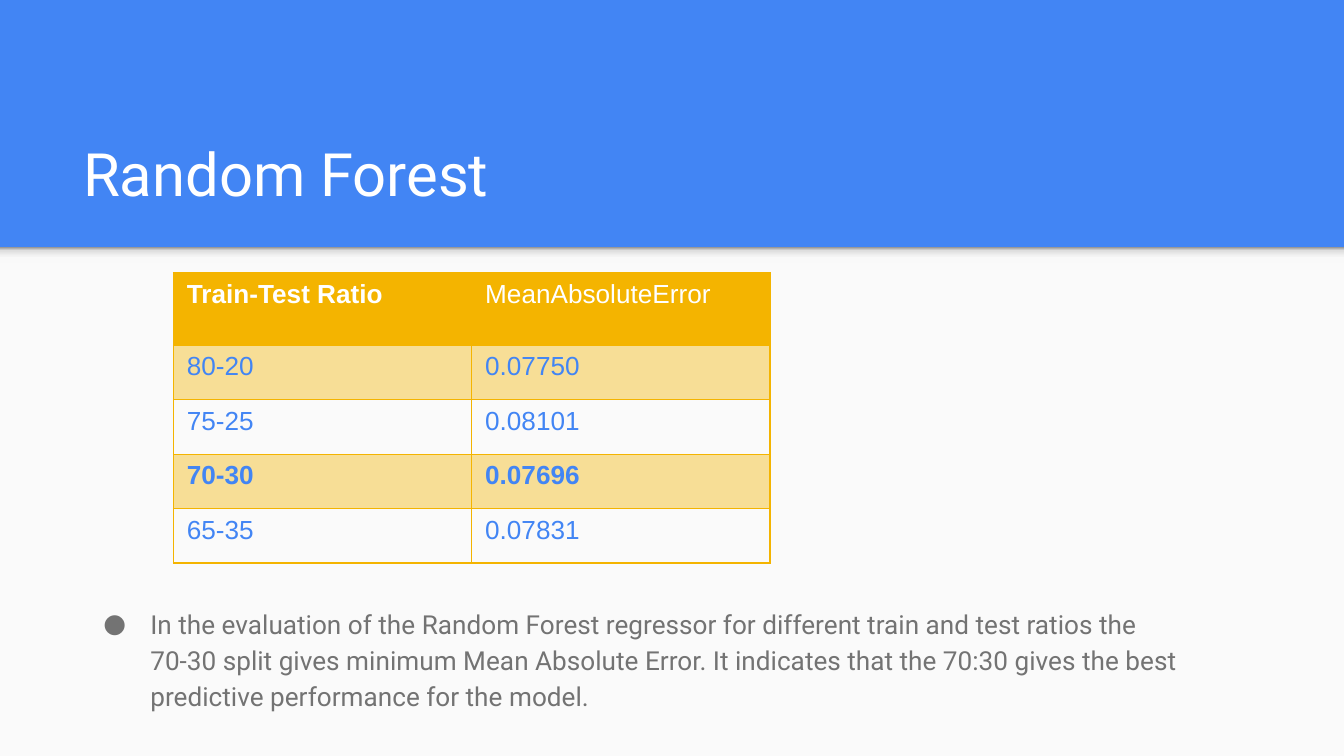
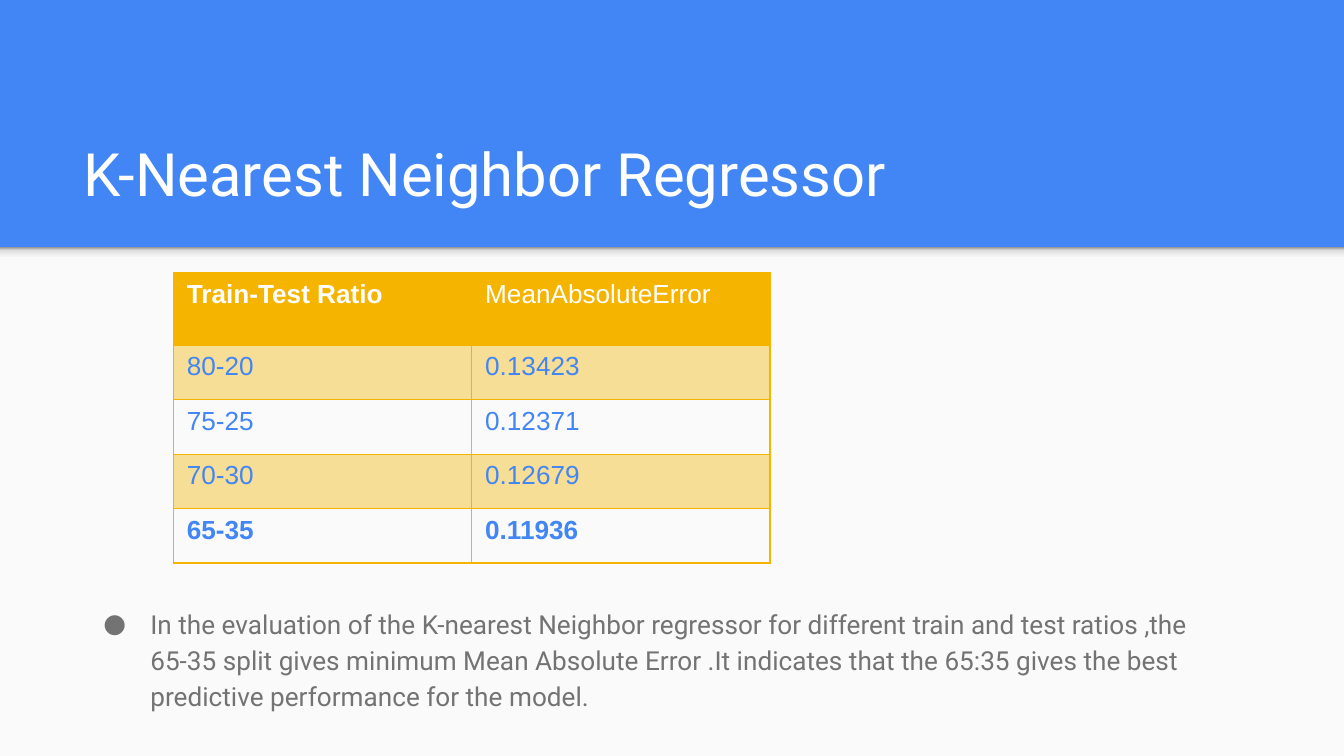
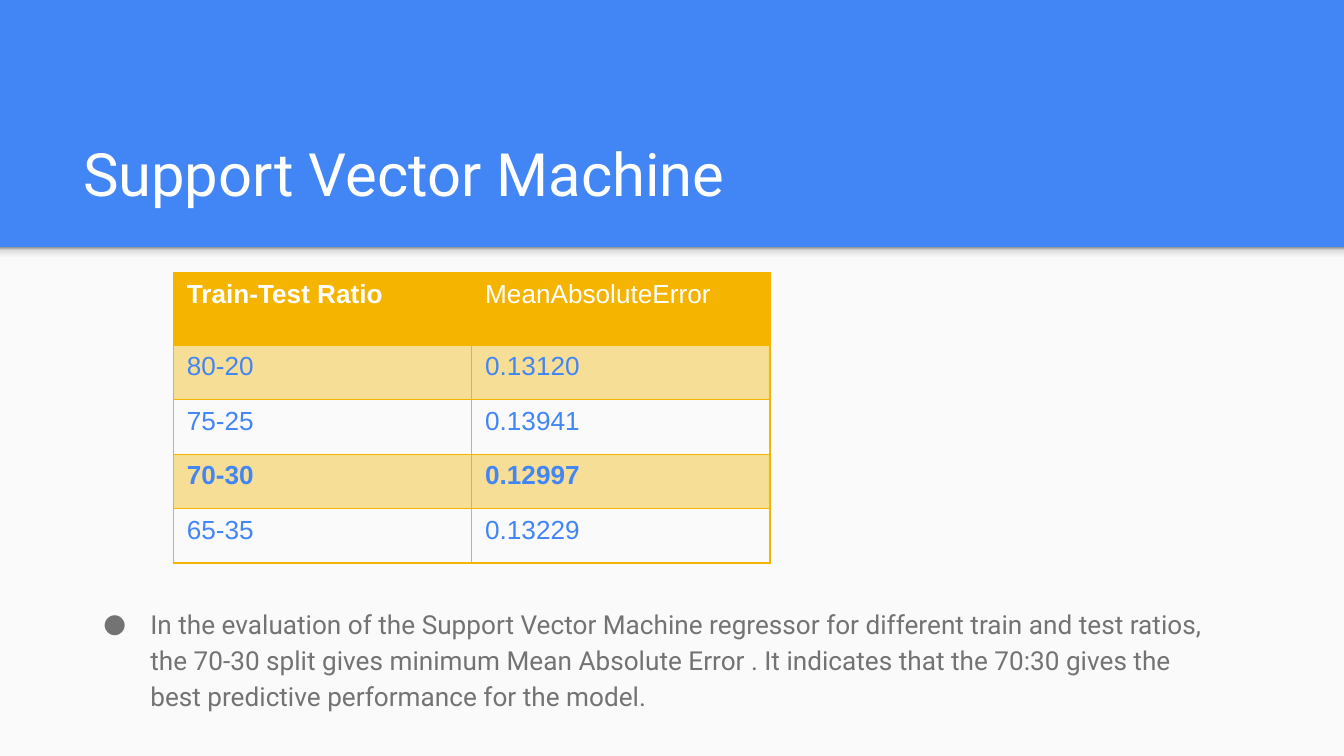
from lxml import etree
from pptx import Presentation
from pptx.dml.color import RGBColor
from pptx.enum.shapes import MSO_SHAPE
from pptx.enum.text import MSO_ANCHOR
from pptx.oxml.ns import qn
from pptx.util import Inches, Pt

RECT = MSO_SHAPE.RECTANGLE
TOP, BOTTOM = MSO_ANCHOR.TOP, MSO_ANCHOR.BOTTOM

BLUE = RGBColor(0x42, 0x85, 0xF4)
AMBER = RGBColor(0xF4, 0xB4, 0x00)
WHITE = RGBColor(0xFF, 0xFF, 0xFF)
PAPER = RGBColor(0xFA, 0xFA, 0xFA)
GREY = RGBColor(0x73, 0x73, 0x73)
FADE = [  # percent along the shade under the band
    (0, RGBColor(0xF9, 0xF9, 0xF9)),
    (36, RGBColor(0xF9, 0xF9, 0xF9)),
    (80, RGBColor(0xDE, 0xDE, 0xDE)),
    (100, RGBColor(0x99, 0x99, 0x99)),
]

WIDE, HIGH = Inches(10), Inches(5.625)
BAND = Inches(1.84)
EDGE = Inches(0.52)
PAD = Inches(0.1)
HEAD = ("Train-Test Ratio", "MeanAbsoluteError")
SPLITS = ("80-20", "75-25", "70-30", "65-35")

# Title, errors in the order of the splits, finding
MODELS = [
    ("Random Forest",
     ("0.07750", "0.08101", "0.07696", "0.07831"),
     "In the evaluation of the Random Forest regressor for different train "
     "and test ratios the\n70-30 split gives minimum Mean Absolute Error. "
     "It indicates that the 70:30 gives the best predictive performance "
     "for the model."),
    ("K-Nearest Neighbor Regressor",
     ("0.13423", "0.12371", "0.12679", "0.11936"),
     "In the evaluation of the K-nearest Neighbor regressor for different "
     "train and test ratios ,the 65-35 split gives minimum Mean Absolute "
     "Error .It indicates that the 65:35 gives the best predictive "
     "performance for the model."),
    ("Support Vector Machine",
     ("0.13120", "0.13941", "0.12997", "0.13229"),
     "In the evaluation of the Support Vector Machine regressor for "
     "different train and test ratios, the 70-30 split gives minimum Mean "
     "Absolute Error . It indicates that the 70:30 gives the best "
     "predictive performance for the model."),
]


def add(node, tag, **attrs):
    """Append a child element and return it."""
    return etree.SubElement(node, qn(tag), **attrs)


def write(frame, text, size=14, font="Roboto", color=GREY, bold=False):
    """Put formatted text in a frame and return its paragraph."""
    para = frame.paragraphs[0]
    para.text = text
    for run in para.runs:
        run.font.size = Pt(size)
        run.font.name = font
        run.font.bold = bold
        run.font.color.rgb = color
    return para


def text_box(slide, box, text, anchor=TOP, **look):
    frame = slide.shapes.add_textbox(*box).text_frame
    frame.word_wrap = True
    frame.vertical_anchor = anchor
    frame.margin_left = frame.margin_right = PAD
    frame.margin_top = frame.margin_bottom = PAD
    return write(frame, text, **look)


def panel(slide, box):
    shape = slide.shapes.add_shape(RECT, *box)
    shape.shadow.inherit = False
    shape.line.fill.background()
    return shape.fill


def backdrop(slide):
    """Blue band above, pale page with a soft shade below."""
    back = slide.background.fill
    back.solid()
    back.fore_color.rgb = BLUE
    page = panel(slide, (0, BAND, WIDE, HIGH - BAND))
    page.solid()
    page.fore_color.rgb = PAPER
    shade = panel(slide, (0, BAND, WIDE, Inches(0.12)))
    shade.gradient()
    shade.gradient_angle = 90
    stops = slide.shapes[-1].fill._xPr.find(".//" + qn("a:gsLst"))
    stops.clear()
    for pos, color in FADE:
        stop = add(stops, "a:gs", pos=str(pos * 1000))
        add(stop, "a:srgbClr", val=str(color))


def paint(cell, color, alpha):
    """Outline a cell and fill it; no color leaves it clear."""
    props = cell._tc.get_or_add_tcPr()
    for side in "LRTB":
        line = add(props, "a:ln" + side, w=str(Pt(0.75)))
        add(add(line, "a:solidFill"), "a:srgbClr", val=str(AMBER))
    if color is None:
        cell.fill.background()
        return
    cell.fill.solid()
    cell.fill.fore_color.rgb = color
    if alpha < 100:
        tint = props.find(qn("a:solidFill")).find(qn("a:srgbClr"))
        add(tint, "a:alpha", val=str(alpha * 1000))


def scores(slide, box, errors):
    """Table of errors, with the lowest one in bold."""
    rows = [HEAD, *zip(SPLITS, errors)]
    best = errors.index(min(errors)) + 1
    grid = slide.shapes.add_table(len(rows), len(HEAD), *box).table
    grid.first_row = grid.horz_banding = False
    tall = box[3] // 4  # the header takes a quarter
    for r, row in enumerate(rows):
        grid.rows[r].height = (box[3] - tall) // len(SPLITS) if r else tall
        for c, text in enumerate(row):
            cell = grid.cell(r, c)
            paint(cell, AMBER if r == 0 or r % 2 else None, 40 if r else 100)
            bold = r == best or (r == 0 and c == 0)
            write(cell.text_frame, text, font="Arial", bold=bold,
                  color=BLUE if r else WHITE)


def finding(slide, box, text):
    """Bulleted conclusion."""
    para = text_box(slide, box, text)
    para.line_spacing = 1.15
    props = para._p.get_or_add_pPr()
    props.set("marL", str(Inches(0.5)))
    props.set("indent", str(-Inches(0.35)))
    add(add(props, "a:buClr"), "a:srgbClr", val=str(GREY))
    add(props, "a:buFont", typeface="Roboto")
    add(props, "a:buChar", char="●")


def model(deck, title, errors, text):
    slide = deck.slides.add_slide(deck.slide_layouts[6])
    backdrop(slide)
    text_box(slide, (EDGE, Inches(0.81), Inches(8.99), Inches(0.84)),
             title, anchor=BOTTOM, size=32, color=WHITE)
    finding(slide, (EDGE, Inches(4.39), Inches(8.58), Inches(1)), text)
    scores(slide, (Inches(1.29), Inches(2.03), Inches(4.44), Inches(2.16)),
           errors)


def main():
    deck = Presentation()
    deck.slide_width, deck.slide_height = WIDE, HIGH
    for entry in MODELS:
        model(deck, *entry)
    deck.save("out.pptx")


if __name__ == "__main__":
    main()
